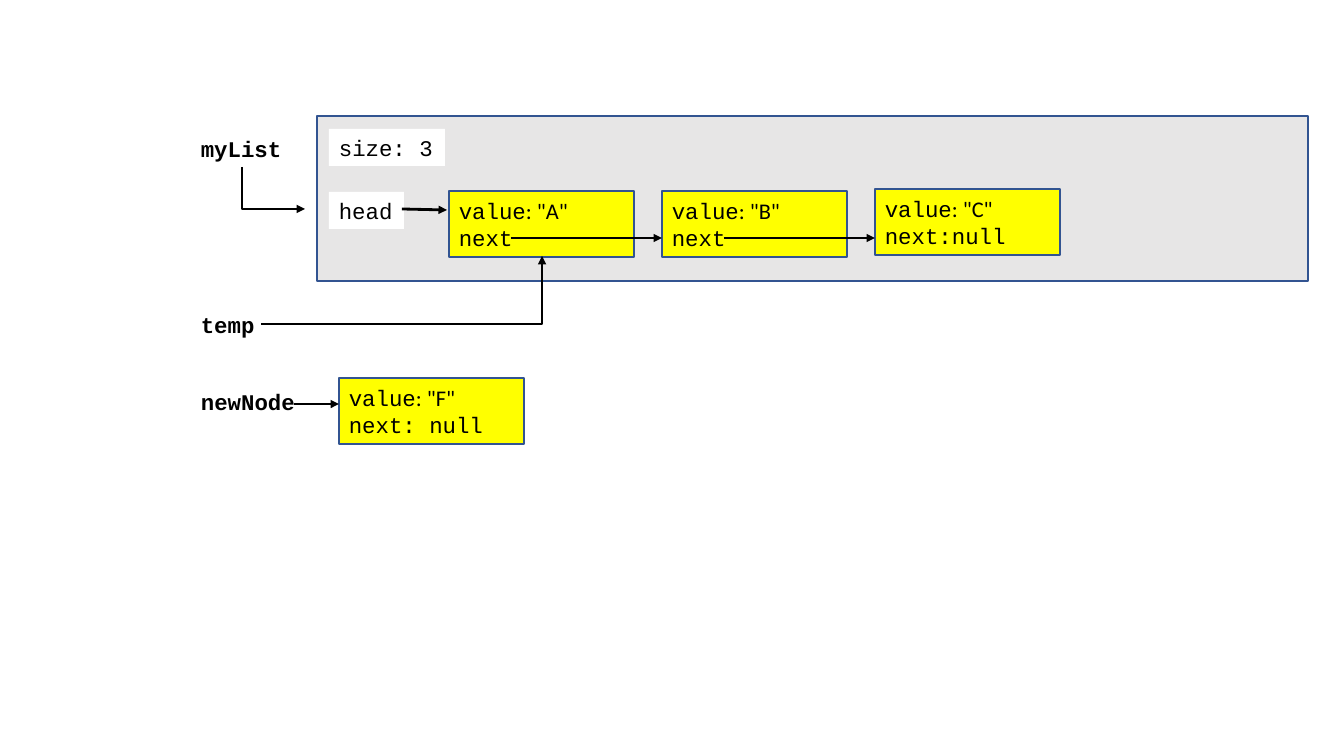
from lxml.etree import SubElement
from pptx import Presentation
from pptx.dml.color import RGBColor
from pptx.enum.shapes import MSO_CONNECTOR as Link, MSO_SHAPE as Preset
from pptx.enum.text import MSO_ANCHOR as Anchor, MSO_AUTO_SIZE as AutoSize, PP_ALIGN as Align
from pptx.oxml.ns import qn
from pptx.util import Emu, Pt

PX = 914400 / 100.8
BLACK, WHITE, GREY, YELLOW, BLUE = "000000", "FFFFFF", "E7E6E6", "FFFF00", "325491"
CODE, PLAIN = "Courier New", "Calibri"

LIST_BOX = (317, 116, 991, 165)
# text, box, fill, bold, wrap
LABELS = [
    ("myList", (191, 130, 102, 37), None, True, False),
    ("size: 3", (329, 129, 116, 37), WHITE, False, False),
    ("head", (329, 192, 75, 37), WHITE, False, False),
    ("temp", (191, 306, 75, 37), WHITE, True, True),
    ("newNode", (191, 383, 116, 37), WHITE, True, False),
]
# value, next line, top
LIST_NODES = [("A", "next", 191), ("B", "next", 191), ("C", "next:null", 189)]
NEW_NODE = ("F", "next: null", 378)
NEW_LEFT, FIRST_LEFT, NODE_STEP = 339, 449, 213
NODE_W, NODE_H = 185, 66
NEXT_OFFSET, NEXT_Y = 62, 238
HEAD_ARROW = ((402, 209), (447, 210))
NEW_ARROW = ((294, 404), (339, 404))
MY_LIST_BEND = ((242, 167), (305, 209))
TEMP_BEND = ((261, 324), (542, 256))


def px(*lengths):
    return [Emu(round(length * PX)) for length in lengths]


def rgb(color):
    return RGBColor.from_string(color)


def add_text(paragraph, text, font_name=CODE, bold=False):
    run = paragraph.add_run()
    run.text = text
    for key, value in dict(name=font_name, size=Pt(16), bold=bold).items():
        setattr(run.font, key, value)
    run.font.color.rgb = rgb(BLACK)


def add_box(shapes, box, fill):
    rect = shapes.add_shape(Preset.RECTANGLE, *px(*box))
    rect.shadow.inherit = False
    rect.fill.solid()
    rect.fill.fore_color.rgb = rgb(fill)
    rect.line.color.rgb = rgb(BLUE)
    rect.line.width = Pt(1)
    return rect


def add_label(shapes, text, box, fill, bold, wrap):
    label = shapes.add_textbox(*px(*box))
    if fill:
        label.fill.solid()
        label.fill.fore_color.rgb = rgb(fill)
    frame = label.text_frame
    for key, value in dict(word_wrap=wrap, auto_size=AutoSize.SHAPE_TO_FIT_TEXT).items():
        setattr(frame, key, value)
    add_text(frame.paragraphs[0], text, bold=bold)


def add_node(shapes, left, value, next_line, top):
    frame = add_box(shapes, (left, top, NODE_W, NODE_H), YELLOW).text_frame
    for key, setting in dict(word_wrap=True, vertical_anchor=Anchor.MIDDLE).items():
        setattr(frame, key, setting)
    value_row, next_row = frame.paragraphs[0], frame.add_paragraph()
    value_row.alignment = next_row.alignment = Align.LEFT
    add_text(value_row, "value")
    add_text(value_row, f': "{value}"', PLAIN)
    add_text(next_row, next_line)


def add_arrow(shapes, start, end, kind=Link.STRAIGHT):
    arrow = shapes.add_connector(kind, *px(*start, *end))
    arrow.line.color.rgb = rgb(BLACK)
    arrow.line.width = Pt(2)
    properties = arrow.line._get_or_add_ln()
    SubElement(properties, qn("a:tailEnd"), type="triangle")
    SubElement(arrow._element.spPr, qn("a:effectLst"))
    return arrow


def add_bend(shapes, start, end, down_first=False):
    """Add a one-corner arrow; a down-first one is the across-first one turned by 270 degrees."""
    if down_first:
        (x1, y1), (x2, y2) = start, end
        mid_x, mid_y = (x1 + x2) / 2, (y1 + y2) / 2
        half_w, half_h = (y2 - y1) / 2, (x2 - x1) / 2
        start, end = (mid_x + half_w, mid_y - half_h), (mid_x - half_w, mid_y + half_h)
    frame = add_arrow(shapes, start, end, Link.ELBOW)._element.spPr
    frame.find(qn("a:prstGeom")).set("prst", "bentConnector2")
    if down_first:
        frame.find(qn("a:xfrm")).set("rot", str(270 * 60000))


def main():
    deck = Presentation()
    deck.slide_width, deck.slide_height = px(1344, 756)
    shapes = deck.slides.add_slide(deck.slide_layouts[6]).shapes

    add_box(shapes, LIST_BOX, GREY)
    for label in LABELS:
        add_label(shapes, *label)
    lefts = [FIRST_LEFT + i * NODE_STEP for i in range(len(LIST_NODES))]
    for left, node in zip(lefts, LIST_NODES):
        add_node(shapes, left, *node)
    add_node(shapes, NEW_LEFT, *NEW_NODE)

    for left, following in zip(lefts, lefts[1:]):
        add_arrow(shapes, (left + NEXT_OFFSET, NEXT_Y), (following, NEXT_Y))
    for ends in (HEAD_ARROW, NEW_ARROW):
        add_arrow(shapes, *ends)
    add_bend(shapes, *MY_LIST_BEND, down_first=True)
    add_bend(shapes, *TEMP_BEND)
    deck.save("out.pptx")


if __name__ == "__main__":
    main()
